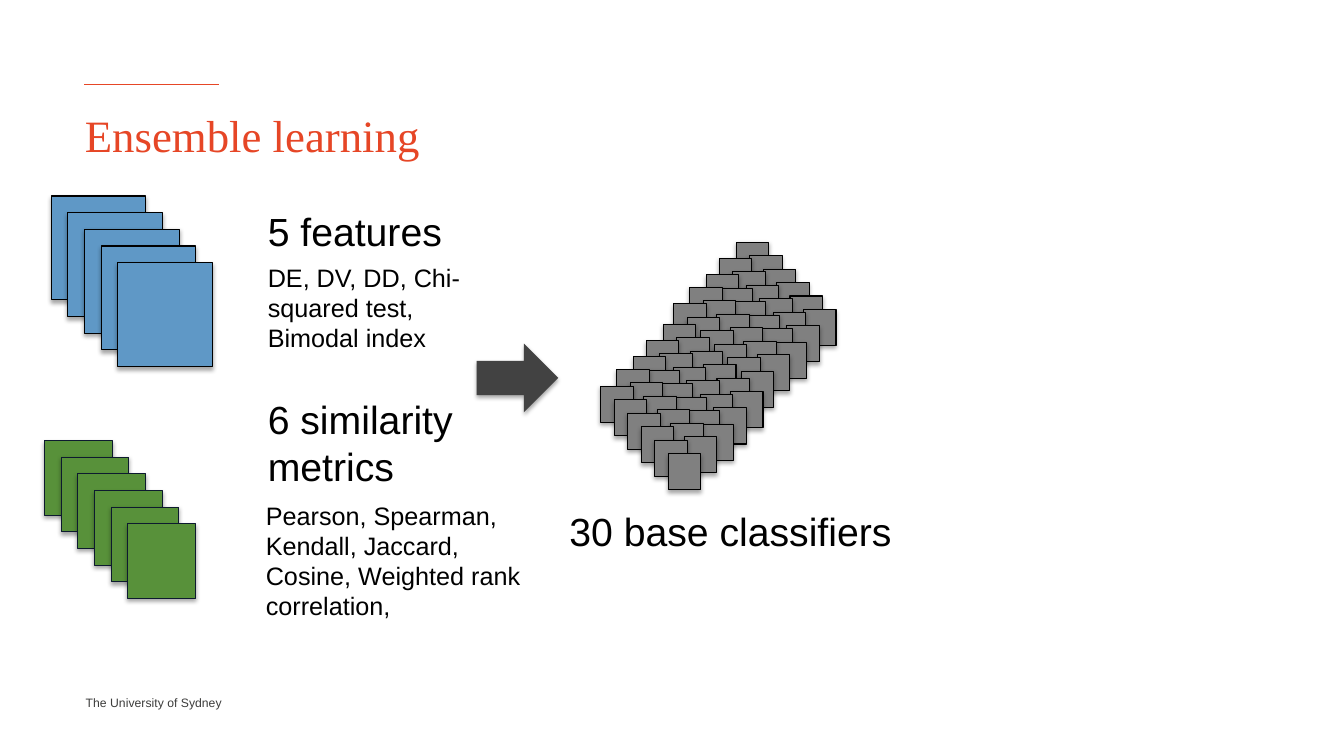
from lxml.etree import SubElement
from pptx import Presentation
from pptx.dml.color import RGBColor
from pptx.enum.shapes import MSO_CONNECTOR, MSO_SHAPE
from pptx.enum.text import MSO_ANCHOR, MSO_AUTO_SIZE, PP_ALIGN
from pptx.oxml.ns import qn
from pptx.util import Cm, Pt

ACCENT = "E64626"
BLACK = "000000"
BODY_FONT = "Arial"
TITLE_FONT = "Times New Roman"


def colour(value):
    return RGBColor.from_string(value)


def write_text(frame, text, size, color=BLACK, font=BODY_FONT, wrap=True,
               insets=(0.25, 0.13, 0.25, 0.13)):
    """Fill a text frame, one paragraph per line; insets are left, top, right, bottom in cm."""
    frame.text = text
    frame.word_wrap = wrap
    frame.auto_size = MSO_AUTO_SIZE.SHAPE_TO_FIT_TEXT
    frame.vertical_anchor = MSO_ANCHOR.TOP
    (frame.margin_left, frame.margin_top,
     frame.margin_right, frame.margin_bottom) = map(Cm, insets)
    for paragraph in frame.paragraphs:
        paragraph.alignment = PP_ALIGN.LEFT
        for run in paragraph.runs:
            run.font.size = Pt(size)
            run.font.name = font
            run.font.color.rgb = colour(color)


class SlideBuilder:
    """Holds the current slide and the style shared by its elements."""

    def __init__(self, slide):
        self.slide = slide
        self.line_width = Pt(0.75)

    def title(self, text, left, top, width, height):
        heading = self.slide.shapes.title
        heading.left, heading.top = Cm(left), Cm(top)
        heading.width, heading.height = Cm(width), Cm(height)
        write_text(heading.text_frame, text, 32, color=ACCENT, font=TITLE_FONT,
                   insets=(0, 0, 0, 0))

    def text(self, text, left, top, width, height, **style):
        box = self.slide.shapes.add_textbox(Cm(left), Cm(top), Cm(width), Cm(height))
        write_text(box.text_frame, text, **style)

    def rule(self, left, top, width):
        rule = self.slide.shapes.add_connector(
            MSO_CONNECTOR.STRAIGHT, Cm(left), Cm(top), Cm(left + width), Cm(top))
        rule.line.color.rgb = colour(ACCENT)
        rule.line.width = self.line_width
        SubElement(rule._element.spPr, qn("a:effectLst"))

    def shape(self, kind, left, top, width, height, fill, outline=None, parent=None):
        shapes = (parent or self.slide).shapes
        shape = shapes.add_shape(kind, Cm(left), Cm(top), Cm(width), Cm(height))
        shape.fill.solid()
        shape.fill.fore_color.rgb = colour(fill)
        if outline:
            shape.line.color.rgb = colour(outline)
            shape.line.width = self.line_width
        else:
            shape.line.fill.background()
        self.drop_shadow(shape)

    def drop_shadow(self, shape):
        shape.shadow.inherit = False
        effects = shape._element.spPr.find(qn("a:effectLst"))
        shadow = SubElement(effects, qn("a:outerShdw"), blurRad=str(Pt(3.15)),
                            dist=str(Pt(1.8)), dir="5400000", rotWithShape="0")
        black = SubElement(shadow, qn("a:srgbClr"), val=BLACK)
        SubElement(black, qn("a:alpha"), val="35000")

    def stack(self, count, left, top, width, height, step, fill, outline=BLACK, parent=None):
        """Draw overlapping cards running down to the right."""
        for i in range(count):
            self.shape(MSO_SHAPE.RECTANGLE, left + i * step, top + i * step,
                       width, height, fill, outline, parent)


def main():
    prs = Presentation()
    prs.slide_width, prs.slide_height = Cm(33.87), Cm(19.05)
    page = SlideBuilder(prs.slides.add_slide(prs.slide_layouts[5]))

    page.text("The University of Sydney", 2.11, 17.5, 3.8, 0.38,
              size=8.7, color="3C3C3B", insets=(0.05, 0.03, 0, 0))
    page.rule(2.12, 2.14, 3.39)
    page.title("Ensemble learning", 2.14, 2.72, 29.6, 1.37)

    page.stack(5, 1.29, 4.94, 2.39, 2.62, step=0.42, fill="5F98C6")
    page.text("5 features", 6.5, 5.1, 4.95, 1.45, size=28, wrap=False)
    page.stack(6, 1.12, 11.1, 1.71, 1.88, step=0.42, fill="58913A", outline="0D1A2F")

    # Two blocks of five stacks, each stack holding six classifiers
    classifiers = page.slide.shapes.add_group_shape()
    block_starts = [(18.55, 6.1), (18.13, 6.51), (17.8, 6.92), (17.38, 7.24), (16.98, 7.66)]
    for block in range(2):
        for left, top in block_starts:
            page.stack(6, left - 1.84 * block, top + 2.07 * block, 0.82, 0.91,
                       step=0.34, fill="808080", parent=classifiers)
    page.text("30 base classifiers", 14.1, 12.65, 8.74, 1.45, size=28, wrap=False)

    page.text("DE, DV, DD, Chi-squared test,\nBimodal index", 6.5, 6.48, 5.36, 2.57, size=18)
    page.text("Pearson, Spearman, Kendall, Jaccard, Cosine, Weighted rank correlation,",
              6.45, 12.47, 6.96, 3.33, size=18)
    page.text("6 similarity metrics", 6.5, 9.83, 8.05, 2.64, size=28)
    page.shape(MSO_SHAPE.RIGHT_ARROW, 12.01, 8.66, 2.06, 1.73, fill="424242")

    prs.save("out.pptx")


if __name__ == "__main__":
    main()
